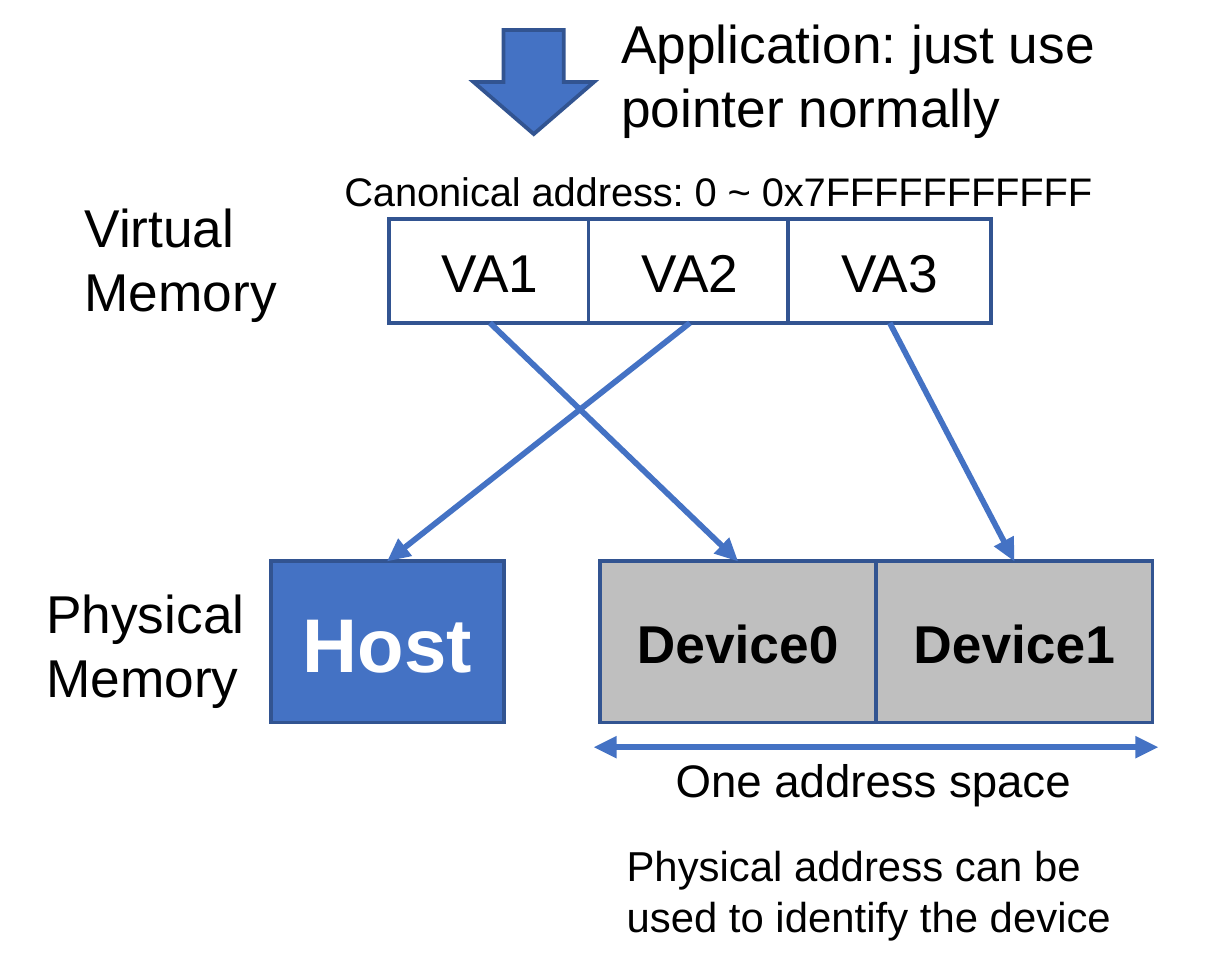
"""Build a slide that maps virtual memory blocks onto host and device memory."""
from dataclasses import dataclass

from lxml.etree import SubElement
from pptx import Presentation
from pptx.dml.color import RGBColor
from pptx.enum.shapes import MSO_CONNECTOR, MSO_SHAPE
from pptx.enum.text import MSO_ANCHOR, MSO_AUTO_SIZE, PP_ALIGN
from pptx.oxml.ns import qn
from pptx.util import Inches, Pt


@dataclass(frozen=True)
class Theme:
    font: str = "Arial"
    blue: str = "4472C4"
    outline: str = "325491"
    gray: str = "BFBFBF"
    white: str = "FFFFFF"
    black: str = "000000"
    host_size: float = 20
    body_size: float = 14
    span_size: float = 12
    note_size: float = 11
    range_size: float = 10.5
    outline_width: float = 1
    arrow_width: float = 1.5


THEME = Theme()
COLUMNS, ROWS = 45, 35
SLIDE_WIDTH, SLIDE_HEIGHT = Inches(4.5), Inches(3.5)

VIRTUAL_BLOCKS = ["VA1", "VA2", "VA3"]
DEVICES = ["Device0", "Device1"]
MAPPINGS = [("VA2", "Host"), ("VA3", "Device1"), ("VA1", "Device0")]

VIRTUAL_LEFT, VIRTUAL_TOP, VIRTUAL_STEP = 14.2, 8, 7.3
VIRTUAL_SIZE = (7.4, 3.8)
PHYSICAL_TOP, PHYSICAL_HEIGHT = 20.5, 5.9
HOST_LEFT, HOST_WIDTH = 9.9, 8.5
DEVICE_LEFT, DEVICE_WIDTH = 21.9, 10.1
SPAN_ROW, SPAN_OVERHANG = 27.3, 0.2
APPLICATION_ARROW = (17.3, 1.1, 4.4, 3.8)

LABELS = [
    ("Virtual Memory", (2.1, 6.6, 11.2, 5.7), THEME.body_size, True),
    ("Physical Memory", (0.7, 20.7, 11.2, 5.7), THEME.body_size, True),
    ("Application: just use pointer normally", (21.7, -0.1, 23.5, 5.7), THEME.body_size, True),
    ("Canonical address: 0 ~ 0x7FFFFFFFFFFF", (11.6, 5.6, 30.2, 2.8), THEME.range_size, False),
    ("One address space", (23.7, 27, 16.6, 3), THEME.span_size, False),
    ("Physical address can be used to identify the device", (21.9, 30.2, 22.2, 4.7), THEME.note_size, True),
]


def across(columns):
    return round(SLIDE_WIDTH * columns / COLUMNS)


def down(rows):
    return round(SLIDE_HEIGHT * rows / ROWS)


def place(area):
    left, top, width, height = area
    return across(left), down(top), across(width), down(height)


def color(value):
    return RGBColor.from_string(value)


def add_run(paragraph, text, size, text_color=THEME.black, bold=False):
    run = paragraph.add_run()
    run.text = text
    run.font.name = THEME.font
    run.font.size = Pt(size)
    run.font.bold = bold
    run.font.color.rgb = color(text_color)


def add_block(slide, kind, area, fill):
    shape = slide.shapes.add_shape(kind, *place(area))
    shape.shadow.inherit = False
    shape.fill.solid()
    shape.fill.fore_color.rgb = color(fill)
    shape.line.color.rgb = color(THEME.outline)
    shape.line.width = Pt(THEME.outline_width)
    SubElement(shape.line._get_or_add_ln(), qn("a:miter"), lim="800000")
    return shape


def add_box(slide, text, area, fill, size=THEME.body_size, text_color=THEME.black, bold=False):
    shape = add_block(slide, MSO_SHAPE.RECTANGLE, area, fill)
    shape.text_frame.vertical_anchor = MSO_ANCHOR.MIDDLE
    paragraph = shape.text_frame.paragraphs[0]
    paragraph.alignment = PP_ALIGN.CENTER
    add_run(paragraph, text, size, text_color, bold)
    return shape


def add_label(slide, text, area, size, wraps):
    frame = slide.shapes.add_textbox(*place(area)).text_frame
    frame.word_wrap = wraps
    frame.auto_size = MSO_AUTO_SIZE.SHAPE_TO_FIT_TEXT
    add_run(frame.paragraphs[0], text, size)


def add_arrow(slide, start, end, ends=("tailEnd",)):
    connector = slide.shapes.add_connector(MSO_CONNECTOR.STRAIGHT, *start, *end)
    connector.line.color.rgb = color(THEME.blue)
    connector.line.width = Pt(THEME.arrow_width)
    for name in ends:
        SubElement(connector.line._get_or_add_ln(), qn(f"a:{name}"), type="triangle")
    SubElement(connector._element.spPr, qn("a:effectLst"))
    return connector


def main():
    presentation = Presentation()
    presentation.slide_width, presentation.slide_height = SLIDE_WIDTH, SLIDE_HEIGHT
    slide = presentation.slides.add_slide(presentation.slide_layouts[6])

    boxes = {"Host": add_box(
        slide, "Host", (HOST_LEFT, PHYSICAL_TOP, HOST_WIDTH, PHYSICAL_HEIGHT),
        THEME.blue, THEME.host_size, THEME.white, bold=True)}
    for index, name in enumerate(DEVICES):
        area = (DEVICE_LEFT + index * DEVICE_WIDTH, PHYSICAL_TOP, DEVICE_WIDTH, PHYSICAL_HEIGHT)
        boxes[name] = add_box(slide, name, area, THEME.gray, bold=True)
    for index, name in enumerate(VIRTUAL_BLOCKS):
        area = (VIRTUAL_LEFT + index * VIRTUAL_STEP, VIRTUAL_TOP, *VIRTUAL_SIZE)
        boxes[name] = add_box(slide, name, area, THEME.white)

    for source, target in MAPPINGS:
        connector = add_arrow(slide, (0, 0), (0, 0))
        connector.begin_connect(boxes[source], 2)
        connector.end_connect(boxes[target], 0)

    span_left = DEVICE_LEFT - SPAN_OVERHANG
    span_right = DEVICE_LEFT + len(DEVICES) * DEVICE_WIDTH + SPAN_OVERHANG
    add_arrow(slide, (across(span_left), down(SPAN_ROW)),
              (across(span_right), down(SPAN_ROW)), ("headEnd", "tailEnd"))
    add_block(slide, MSO_SHAPE.DOWN_ARROW, APPLICATION_ARROW, THEME.blue)

    for label in LABELS:
        add_label(slide, *label)

    presentation.save("out.pptx")


if __name__ == "__main__":
    main()
